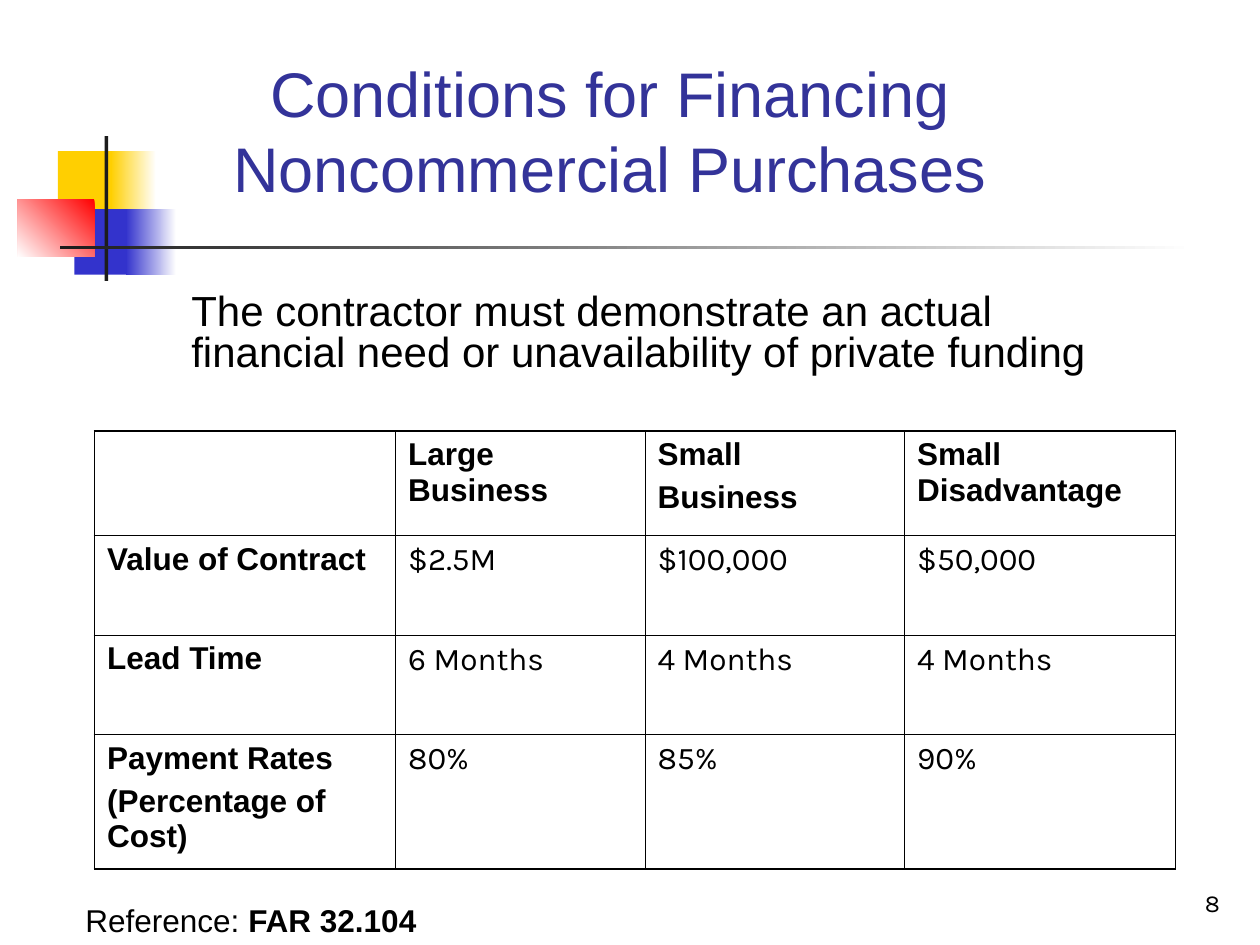
from lxml.etree import SubElement
from pptx import Presentation
from pptx.dml.color import RGBColor
from pptx.enum.shapes import MSO_SHAPE as Shape
from pptx.enum.text import MSO_ANCHOR as Anchor, MSO_AUTO_SIZE as Fit, PP_ALIGN as Align
from pptx.oxml.ns import qn
from pptx.util import Inches, Pt

BLACK = RGBColor(0x00, 0x00, 0x00)
WHITE = RGBColor(0xFF, 0xFF, 0xFF)
DARK = RGBColor(0x1C, 0x1C, 0x1C)
GOLD = RGBColor(0xFF, 0xCF, 0x01)
BLUE = RGBColor(0x33, 0x33, 0xCC)
RED = RGBColor(0xFF, 0x00, 0x00)
NAVY = RGBColor(0x33, 0x33, 0x99)

# left, top, width, height, colours (two make a gradient), angle
DECOR = [
    (0.46, 1.2, 0.48, 0.52, [GOLD], 0),
    (0.88, 1.2, 0.36, 0.52, [WHITE, GOLD], 180),
    (0.59, 1.66, 0.46, 0.52, [BLUE], 0),
    (1, 1.66, 0.4, 0.52, [WHITE, BLUE], 180),
    (0.14, 1.58, 0.61, 0.46, [RED, WHITE], 225),
    (0.83, 1.08, 0.03, 1.15, [DARK], 0),
    (0.48, 1.95, 9, 0.03, [WHITE, DARK], 180),
]
ROWS = [
    ["", "Large Business", "Small\nBusiness", "Small Disadvantage"],
    ["Value of Contract", "$2.5M", "$100,000", "$50,000"],
    ["Lead Time", "6 Months", "4 Months", "4 Months"],
    ["Payment Rates\n(Percentage of Cost)", "80%", "85%", "90%"],
]
WIDTHS = [2.39, 1.98, 2.06, 2.15]
HEIGHTS = [0.83, 0.79, 0.79, 1.07]
THICK, THIN = 1.08, 0.45


def place(x, y, w, h):
    return [Inches(v) for v in (x, y, w, h)]


def style(par, size, name="Arial", color=BLACK, bold=None):
    font = par.font
    font.size, font.name, font.bold = Pt(size), name, bold
    font.color.rgb = color


def add_block(slide, box, colors, angle):
    block = slide.shapes.add_shape(Shape.RECTANGLE, *place(*box))
    block.shadow.inherit = False
    block.line.fill.background()
    if len(colors) == 1:
        block.fill.solid()
        block.fill.fore_color.rgb = colors[0]
        return
    block.fill.gradient()
    block.fill.gradient_angle = angle
    for stop, color in zip(block.fill.gradient_stops, colors):
        stop.color.rgb = color


def set_title(slide, text):
    title = slide.shapes.title
    title.left, title.top, title.width, title.height = place(0.58, 0.08, 8.52, 1.6)
    frame = title.text_frame
    frame.text = text
    frame.auto_size = Fit.NONE
    frame.vertical_anchor = Anchor.BOTTOM
    par = frame.paragraphs[0]
    par.alignment = Align.CENTER
    style(par, 36, color=NAVY)


def add_text(slide, box, text, size, name="Arial"):
    """Add a wrapped text box and return its frame and first paragraph."""
    frame = slide.shapes.add_textbox(*place(*box)).text_frame
    frame.word_wrap = True
    par = frame.paragraphs[0]
    par.add_run().text = text
    style(par, size, name)
    return frame, par


def set_edges(cell, widths):
    """Draw left, right, top and bottom borders, ahead of the cell's fill."""
    props = cell._tc.get_or_add_tcPr()
    for i, (side, width) in enumerate(zip("LRTB", widths)):
        line = SubElement(props, qn(f"a:ln{side}"), w=str(Pt(width)))
        fill = SubElement(line, qn("a:solidFill"))
        SubElement(fill, qn("a:srgbClr"), val=str(BLACK))
        props.insert(i, line)


def fill_cell(cell, text, head):
    cell.fill.background()
    cell.text = text
    for i, par in enumerate(cell.text_frame.paragraphs):
        par.space_before = Pt(4.5 if i else 0)
        style(par, 18, "Arial" if head else "Karla", bold=head)


def add_grid(slide):
    last_row, last_col = len(ROWS) - 1, len(WIDTHS) - 1
    box = place(0.75, 3.42, sum(WIDTHS), sum(HEIGHTS))
    table = slide.shapes.add_table(len(ROWS), len(WIDTHS), *box).table
    table.first_row = table.horz_banding = False
    for col, width in zip(table.columns, WIDTHS):
        col.width = Inches(width)
    for r, texts in enumerate(ROWS):
        table.rows[r].height = Inches(HEIGHTS[r])
        for c, text in enumerate(texts):
            cell = table.cell(r, c)
            fill_cell(cell, text, head=r == 0 or c == 0)
            outer = (c == 0, c == last_col, r == 0, r == last_row)
            set_edges(cell, [THICK if edge else THIN for edge in outer])


def main():
    deck = Presentation()
    deck.slide_width, deck.slide_height = Inches(10), Inches(7.5)
    slide = deck.slides.add_slide(deck.slide_layouts[5])
    for *box, colors, angle in DECOR:
        add_block(slide, box, colors, angle)
    set_title(slide, "Conditions for Financing Noncommercial Purchases")

    need = "The contractor must demonstrate an actual financial need or unavailability of private funding"
    _, par = add_text(slide, (1.04, 2.29, 8.12, 0.96), need, 24)
    par.line_spacing = 0.8
    par._p.get_or_add_pPr().set("marL", str(Inches(0.38)))

    _, par = add_text(slide, (0.58, 7.1, 9.17, 0.4), "Reference: ", 18)
    code = par.add_run()
    code.text = "FAR 32.104"
    code.font.bold = True

    add_grid(slide)

    frame, par = add_text(slide, (7.7, 6.83, 2.08, 0.5), "8", 14, "Karla")
    frame.vertical_anchor = Anchor.BOTTOM
    par.alignment = Align.RIGHT
    deck.save("out.pptx")


if __name__ == "__main__":
    main()
